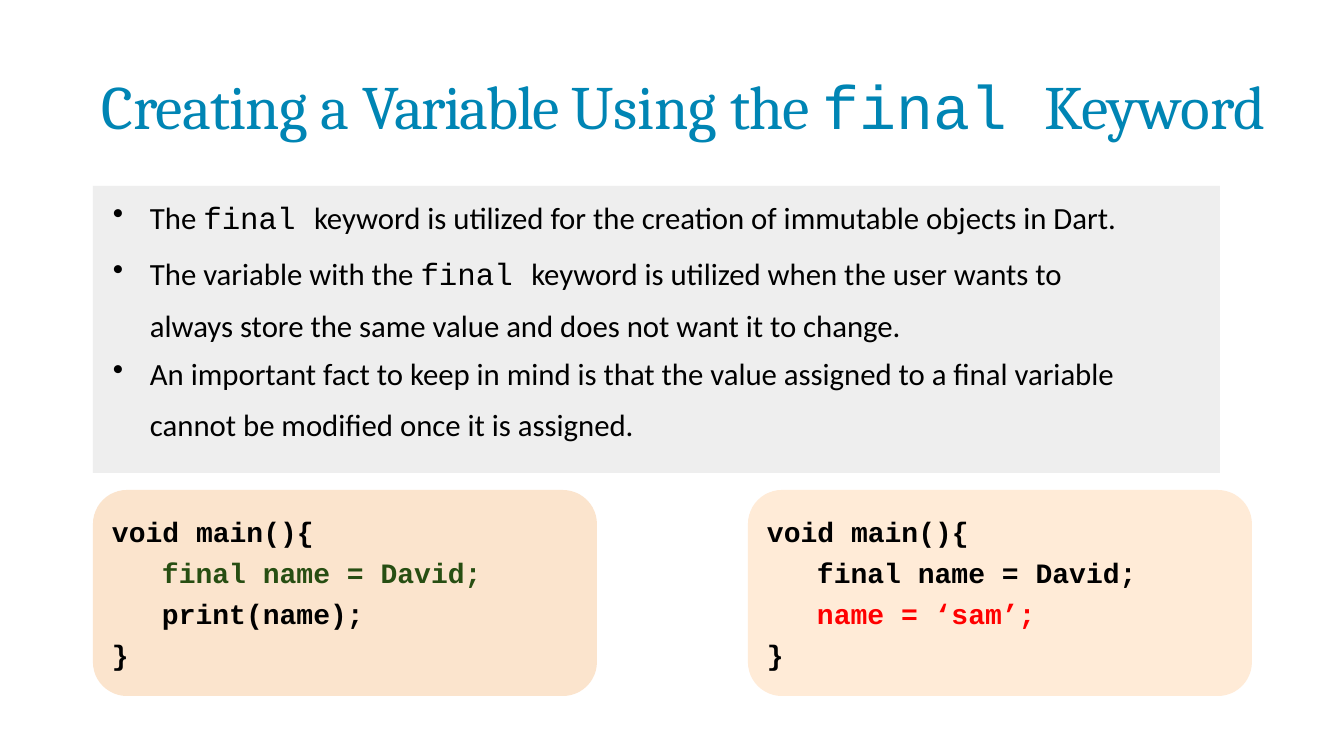
from dataclasses import dataclass

import pptx
import pptx.dml.color
import pptx.enum.shapes
import pptx.enum.text
import pptx.util
from lxml import etree


@dataclass(frozen=True)
class Theme:
    title: str = "0085B4"
    text: str = "000000"
    good: str = "274E12"
    error: str = "FF0000"
    panel: str = "EEEEEE"
    good_card: str = "FBE4CD"
    error_card: str = "FFEBD7"
    title_font: str = "Cambria"
    body_font: str = "Calibri"
    code_font: str = "Courier New"
    title_size: int = 44
    body_size: int = 22
    code_size: int = 20


THEME = Theme()
EMU_PER_PX = 914400 / 100.8
CODE = {"font": THEME.code_font}

# A paragraph is (runs, paragraph format); a run is (text, run format).
TITLE = [([
    ("Creating ", {"tracking": -0.6}),
    ("a ", {}),
    ("Variable ", {"tracking": -1.2}),
    ("Using ", {"tracking": -0.1}),
    ("the ", {"tracking": -0.8}),
    ("final ", CODE),
    ("Keyword", {"tracking": -0.1}),
], {})]

BULLET = {"indent": 39, "hanging": 37, "bullet": "•"}
POINTS = [
    ([("The ", {}), ("final ", CODE),
      ("keyword is utilized for the creation of immutable objects in Dart.", {})],
     BULLET),
    ([("The variable with the ", {}), ("final ", CODE),
      ("keyword is utilized when the user wants to always store the same value "
       "and does not want it to change.", {})],
     BULLET | {"before": 2.9, "line": 37.1}),
    ([("An important fact to keep in mind is that the value assigned to a final variable",
       {})],
     BULLET | {"before": 7.5}),
    ([("cannot be modified once it is assigned.", {})],
     {"indent": 39, "before": 10.6}),
]

# Each line is (indent level, code, colour).
EXAMPLES = [
    (THEME.good_card, [
        (0, "void main(){", THEME.text),
        (1, "final name = David;", THEME.good),
        (1, "print(name);", THEME.text),
        (0, "}", THEME.text),
    ]),
    (THEME.error_card, [
        (0, "void main(){", THEME.text),
        (1, "final name = David;", THEME.text),
        (1, "name = ‘sam’;", THEME.error),
        (0, "}", THEME.text),
    ]),
]

LEFT = 93
PADDING = 18
TITLE_BOX = (41, 67, 1301, 79)
PANEL_BOX = (LEFT, 186, 1127, 287)
POINTS_BOX = (LEFT + PADDING, 183, 1038, 262)
CARD_TOP, CARD_WIDTH, CARD_HEIGHT, CARD_PITCH = 490, 504, 206, 655
CARD_RADIUS = 34
CODE_TOP, CODE_WIDTH, CODE_HEIGHT = 509, 372, 157
CODE_INDENT = 50
CODE_GAP = 5.2


def px(length):
    return pptx.util.Emu(round(length * EMU_PER_PX))


def box(lengths):
    return [px(length) for length in lengths]


def rgb(colour):
    return pptx.dml.color.RGBColor.from_string(colour)


def format_paragraph(paragraph, indent=0, hanging=0, bullet=None, before=0, line=None):
    paragraph.alignment = pptx.enum.text.PP_ALIGN.LEFT
    paragraph.space_before = pptx.util.Pt(before)
    if line:
        paragraph.line_spacing = pptx.util.Pt(line)
    properties = paragraph._p.get_or_add_pPr()
    properties.set("marL", str(px(indent)))
    properties.set("indent", str(px(-hanging)))
    if bullet:
        namespace = etree.QName(properties).namespace
        etree.SubElement(properties, f"{{{namespace}}}buChar", char=bullet)


def add_run(paragraph, text, *, font, size, colour, bold=False, tracking=0):
    run = paragraph.add_run()
    run.text = text
    run.font.name = font
    run.font.size = pptx.util.Pt(size)
    run.font.color.rgb = rgb(colour)
    run.font.bold = bold
    if tracking:
        run._r.get_or_add_rPr().set("spc", str(round(tracking * 100)))


def write_text(shape, paragraphs, *, inset_left=0, inset_top=0, **run_format):
    frame = shape.text_frame
    frame.word_wrap = True
    frame.auto_size = pptx.enum.text.MSO_AUTO_SIZE.SHAPE_TO_FIT_TEXT
    frame.vertical_anchor = pptx.enum.text.MSO_ANCHOR.TOP
    frame.margin_left, frame.margin_top = px(inset_left), px(inset_top)
    frame.margin_right = frame.margin_bottom = 0
    for index, (runs, paragraph_format) in enumerate(paragraphs):
        paragraph = frame.add_paragraph() if index else frame.paragraphs[0]
        format_paragraph(paragraph, **paragraph_format)
        for text, changes in runs:
            add_run(paragraph, text, **(run_format | changes))


def add_block(slide, kind, lengths, fill):
    shape = slide.shapes.add_shape(kind, *box(lengths))
    shape.shadow.inherit = False
    shape.fill.solid()
    shape.fill.fore_color.rgb = rgb(fill)
    shape.line.fill.background()
    return shape


def add_example(slide, left, fill, lines):
    card = add_block(slide, pptx.enum.shapes.MSO_SHAPE.ROUNDED_RECTANGLE,
                     (left, CARD_TOP, CARD_WIDTH, CARD_HEIGHT), fill)
    card.adjustments[0] = CARD_RADIUS / CARD_HEIGHT
    paragraphs = [
        ([(code, {"colour": colour})],
         {"indent": 1 + level * CODE_INDENT, "before": CODE_GAP if index else 0})
        for index, (level, code, colour) in enumerate(lines)
    ]
    listing = slide.shapes.add_textbox(
        *box((left + PADDING, CODE_TOP, CODE_WIDTH, CODE_HEIGHT)))
    write_text(listing, paragraphs, inset_top=6, font=THEME.code_font,
               size=THEME.code_size, colour=THEME.text, bold=True)


def main():
    presentation = pptx.Presentation()
    presentation.slide_width, presentation.slide_height = box((1344, 756))
    slide = presentation.slides.add_slide(presentation.slide_layouts[5])

    title = slide.shapes.title
    title.left, title.top, title.width, title.height = box(TITLE_BOX)
    write_text(title, TITLE, inset_left=61, inset_top=1, font=THEME.title_font,
               size=THEME.title_size, colour=THEME.title)

    add_block(slide, pptx.enum.shapes.MSO_SHAPE.RECTANGLE, PANEL_BOX, THEME.panel)
    points = slide.shapes.add_textbox(*box(POINTS_BOX))
    write_text(points, POINTS, inset_top=16, font=THEME.body_font,
               size=THEME.body_size, colour=THEME.text)

    for index, (fill, lines) in enumerate(EXAMPLES):
        add_example(slide, LEFT + index * CARD_PITCH, fill, lines)

    presentation.save("out.pptx")


if __name__ == "__main__":
    main()
